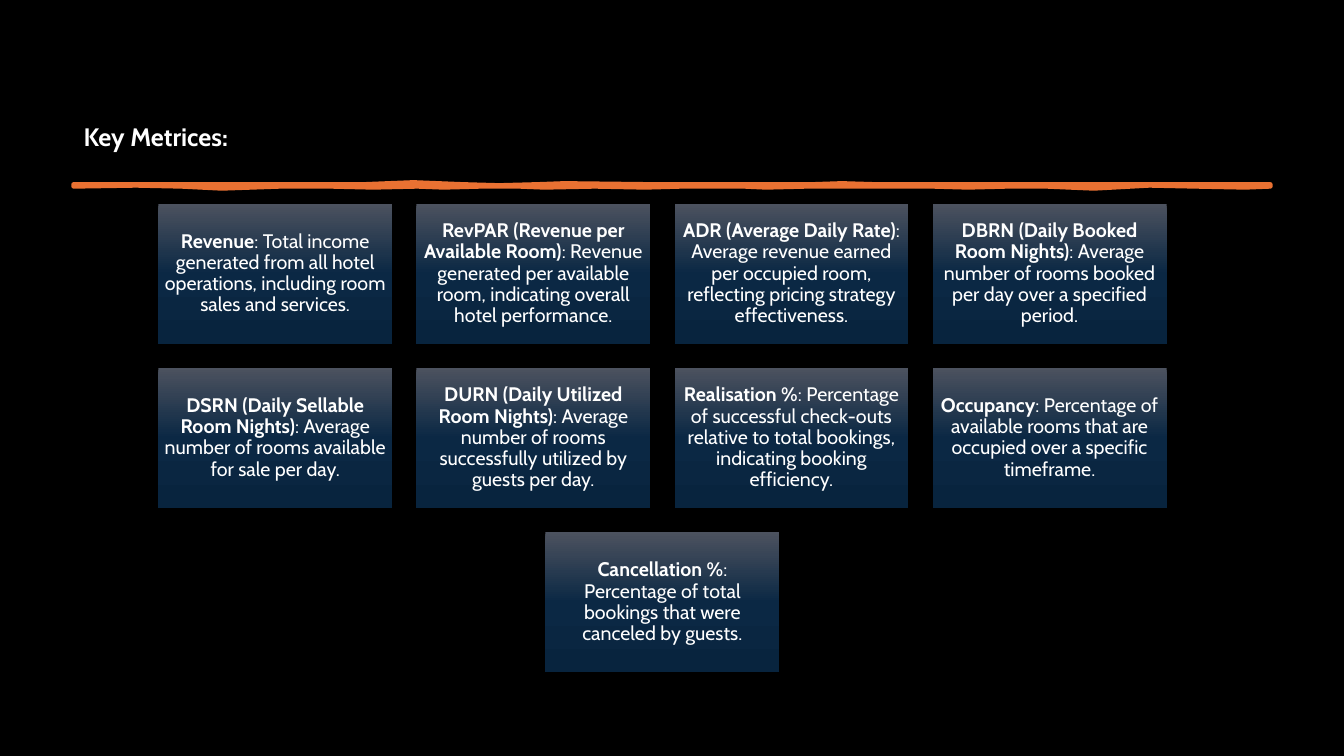
from copy import deepcopy
from dataclasses import dataclass

from lxml.etree import SubElement
from pptx import Presentation
from pptx.dml.color import RGBColor
from pptx.enum.shapes import MSO_SHAPE
from pptx.enum.text import MSO_ANCHOR, MSO_AUTO_SIZE, PP_ALIGN
from pptx.oxml.ns import qn
from pptx.util import Inches, Pt


@dataclass(frozen=True)
class Theme:
    font: str = "Cabin"
    background: RGBColor = RGBColor.from_string("000000")
    text: RGBColor = RGBColor.from_string("FFFFFF")
    accent: RGBColor = RGBColor.from_string("E97132")
    card_stops: tuple = ((0, "4C525F"), (0.5, "0B2844"), (1, "08243E"))
    title_size: Pt = Pt(18)
    card_size: Pt = Pt(14)


theme = Theme()


def write_text(box, *runs, size, align=PP_ALIGN.LEFT, anchor=MSO_ANCHOR.TOP, spacing=1.0):
    """Fill the box with one paragraph of (text, bold) runs."""
    frame = box.text_frame
    frame.word_wrap = True
    frame.vertical_anchor = anchor
    para = frame.paragraphs[0]
    para.alignment = align
    para.line_spacing = spacing
    for text, bold in runs:
        span = para.add_run()
        span.text = text
        span.font.name = theme.font
        span.font.size = size
        span.font.bold = bold
        span.font.color.rgb = theme.text


def style_card(card):
    """Give the card its three-stop gradient and soft shadow."""
    card.line.fill.background()
    card.fill.gradient()
    card.fill.gradient_angle = 270
    stop_list = card._element.spPr.find(".//" + qn("a:gsLst"))
    stop_list.insert(1, deepcopy(stop_list[0]))
    for stop, (position, color) in zip(card.fill.gradient_stops, theme.card_stops):
        stop.position = position
        stop.color.rgb = RGBColor.from_string(color)
    card.shadow.inherit = False
    effects = card._element.spPr.find(qn("a:effectLst"))
    shadow = SubElement(effects, qn("a:outerShdw"), blurRad=str(Pt(4.5)),
                        dist=str(Pt(1.5)), dir="5400000", algn="ctr", rotWithShape="0")
    black = SubElement(shadow, qn("a:srgbClr"), val="000000")
    SubElement(black, qn("a:alpha"), val="63000")


deck = Presentation()
deck.slide_width = Inches(13.33)
deck.slide_height = Inches(7.5)
page = deck.slides.add_slide(deck.slide_layouts[6])
page.background.fill.solid()
page.background.fill.fore_color.rgb = theme.background

# Hand-drawn divider: upper edge left to right, lower edge back
upper_edge = [(0.73, 1.83), (1.24, 1.83), (1.98, 1.83), (2.84, 1.83), (3.61, 1.83),
              (4.1, 1.81), (4.59, 1.83), (4.95, 1.84), (5.33, 1.83), (5.6, 1.82),
              (6.46, 1.83), (7.05, 1.83), (7.44, 1.83), (8.06, 1.83), (8.35, 1.82),
              (8.68, 1.83), (9.15, 1.83), (9.43, 1.83), (10.29, 1.83), (11.15, 1.83),
              (11.6, 1.83), (12.6, 1.83)]
lower_edge = [(12.6, 1.85), (12.35, 1.86), (11.86, 1.85), (11.4, 1.84), (10.85, 1.87),
              (10.38, 1.85), (9.99, 1.85), (9.6, 1.86), (9.25, 1.85), (8.63, 1.85),
              (8, 1.85), (7.6, 1.86), (7.38, 1.85), (7.1, 1.85), (6.76, 1.85),
              (6.4, 1.86), (5.9, 1.85), (5.4, 1.86), (5.15, 1.85), (4.77, 1.85),
              (4.4, 1.86), (4.14, 1.85), (3.7, 1.86), (3.28, 1.85), (2.78, 1.85),
              (2.2, 1.87), (1.8, 1.85), (1.35, 1.84), (0.73, 1.85)]
outline = [(Inches(x), Inches(y)) for x, y in upper_edge + lower_edge]
builder = page.shapes.build_freeform(*outline[0])
builder.add_line_segments(outline[1:], close=True)
divider = builder.convert_to_shape()
divider.shadow.inherit = False
divider.fill.solid()
divider.fill.fore_color.rgb = theme.accent
divider.line.color.rgb = theme.accent
divider.line.width = Pt(3.25)

metric_rows = [
    [("Revenue", "Total income generated from all hotel operations, "
                 "including room sales and services."),
     ("RevPAR (Revenue per Available Room)",
      "Revenue generated per available room, indicating overall hotel performance."),
     ("ADR (Average Daily Rate)", "Average revenue earned per occupied room, "
                                  "reflecting pricing strategy effectiveness."),
     ("DBRN (Daily Booked Room Nights)",
      "Average number of rooms booked per day over a specified period.")],
    [("DSRN (Daily Sellable Room Nights)",
      "Average number of rooms available for sale per day."),
     ("DURN (Daily Utilized Room Nights)",
      "Average number of rooms successfully utilized by guests per day."),
     ("Realisation %", "Percentage of successful check-outs relative to total bookings, "
                       "indicating booking efficiency."),
     ("Occupancy", "Percentage of available rooms that are occupied "
                   "over a specific timeframe.")],
    [("Cancellation %", "Percentage of total bookings that were canceled by guests.")],
]
columns = 4
grid_left, grid_top = 1.57, 2.02
card_width, card_height = 2.32, 1.39
column_step, row_step = 2.56, 1.63

for row, metrics in enumerate(metric_rows):
    row_left = grid_left + (columns - len(metrics)) / 2 * column_step
    for column, (name, meaning) in enumerate(metrics):
        card = page.shapes.add_shape(
            MSO_SHAPE.RECTANGLE,
            Inches(row_left + column * column_step), Inches(grid_top + row * row_step),
            Inches(card_width), Inches(card_height))
        style_card(card)
        frame = card.text_frame
        frame.margin_left = frame.margin_right = Inches(0.06)
        frame.margin_top = frame.margin_bottom = Inches(0.06)
        write_text(card, (name, True), (f": {meaning}", False), size=theme.card_size,
                   align=PP_ALIGN.CENTER, anchor=MSO_ANCHOR.MIDDLE, spacing=0.9)

title = page.shapes.add_textbox(Inches(0.73), Inches(1.15), Inches(6.08), Inches(0.4))
write_text(title, ("Key Metrices:", True), size=theme.title_size)
title.text_frame.auto_size = MSO_AUTO_SIZE.SHAPE_TO_FIT_TEXT

deck.save("out.pptx")
